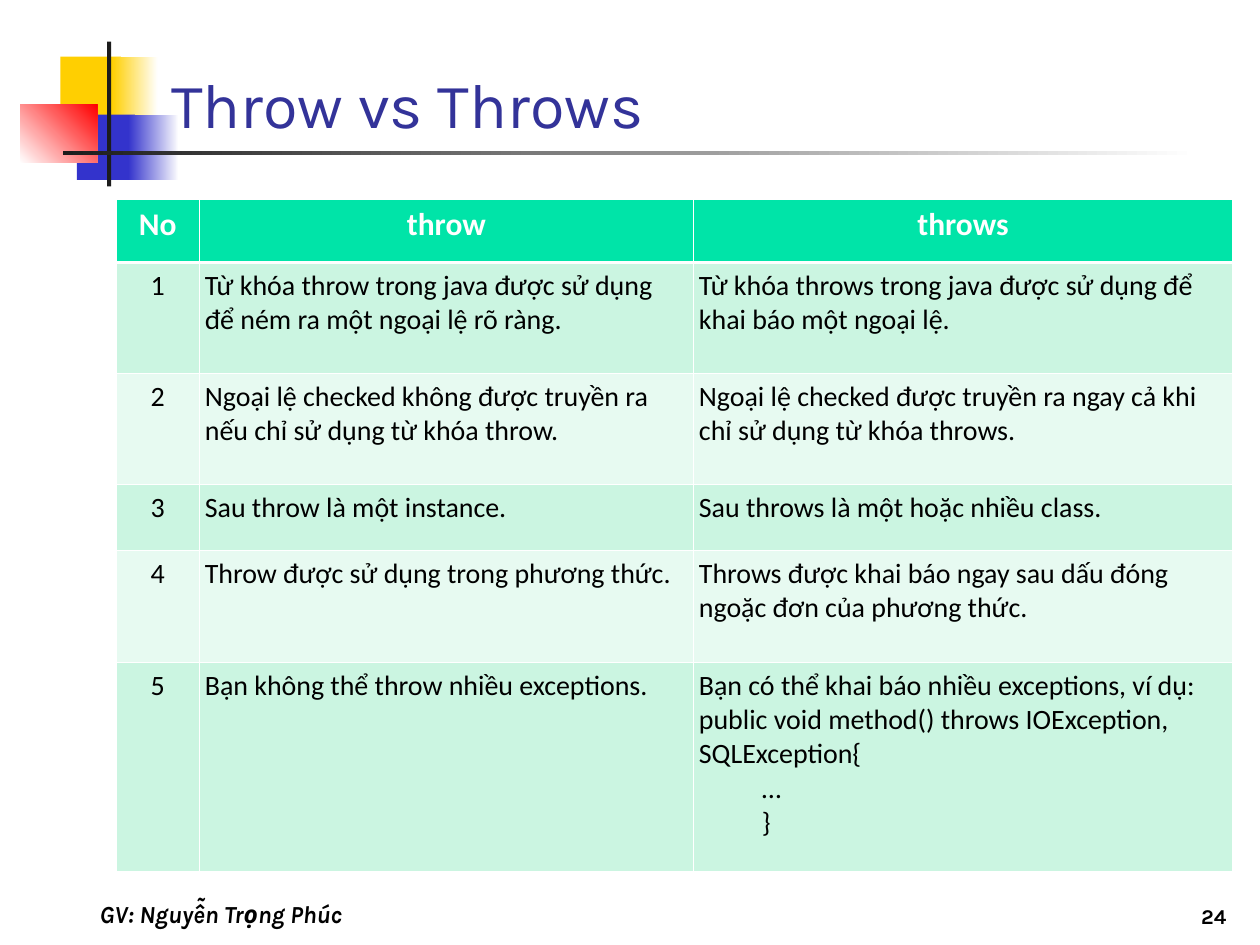
from copy import deepcopy

from lxml.etree import SubElement as Sub
from pptx import Presentation
from pptx.dml.color import RGBColor
from pptx.enum.shapes import MSO_SHAPE as Shape
from pptx.enum.text import MSO_ANCHOR as Anchor, PP_ALIGN as Align
from pptx.oxml.ns import qn
from pptx.util import Cm, Pt

YELLOW, BLUE, RED, DARK, WHITE = "FFCF01", "3333CC", "FF0000", "1C1C1C", "FFFFFF"
HEAD, BANDS = "00E4A8", ("E7FAF1", "CBF5E1")
THIN, THICK = 0.45, 1.47

BLOCKS = [
    ((1.22, 1.14, 1.22, 1.32), [YELLOW], 0),
    ((2.26, 1.14, 0.92, 1.32), [YELLOW, WHITE], 0),
    ((1.55, 2.31, 1.17, 1.32), [BLUE], 0),
    ((2.59, 2.31, 1.02, 1.32), [BLUE, WHITE], 0),
    ((0.41, 2.11, 1.55, 1.17), [WHITE, RED], 45),
    ((2.16, 0.84, 0.08, 2.92), [DARK], 0),
    ((1.27, 3.05, 22.86, 0.08), [DARK, WHITE], 0),
]

COLS = [1.68, 9.96, 10.87]
ROWS = [1.27, 2.24, 2.24, 1.32, 2.26, 4.22]
CELLS = [
    ("No", "throw", "throws"),
    ("1", "Từ khóa throw trong java được sử dụng để ném ra một ngoại lệ rõ ràng.",
     "Từ khóa throws trong java được sử dụng để khai báo một ngoại lệ."),
    ("2", "Ngoại lệ checked không được truyền ra nếu chỉ sử dụng từ khóa throw.",
     "Ngoại lệ checked được truyền ra ngay cả khi chỉ sử dụng từ khóa throws."),
    ("3", "Sau throw là một instance.", "Sau throws là một hoặc nhiều class."),
    ("4", "Throw được sử dụng trong phương thức.",
     "Throws được khai báo ngay sau dấu đóng ngoặc đơn của phương thức."),
    ("5", "Bạn không thể throw nhiều exceptions.",
     "Bạn có thể khai báo nhiều exceptions, ví dụ:\v"
     "public void method() throws IOException, SQLException{\n\t…\n\t}"),
]


def tint(code):
    return RGBColor.from_string(code)


def paint(fill, code):
    fill.solid()
    fill.fore_color.rgb = tint(code)


def write(frame, text, size, font="Karla", color="000000", bold=False,
          italic=False, align=Align.LEFT):
    frame.word_wrap = True
    for i, line in enumerate(text.split("\n")):
        para = frame.add_paragraph() if i else frame.paragraphs[0]
        para.text = line.lstrip("\t")
        para.alignment = align
        if line.startswith("\t"):
            props = para._p.get_or_add_pPr()
            props.set("marL", str(Cm(1.27)))
            props.set("lvl", "1")
        for run in para.runs:
            face = run.font
            face.name, face.size = font, Pt(size)
            face.bold, face.italic = bold, italic
            face.color.rgb = tint(color)
        for stop in para._p.findall(qn("a:br")):
            stop.append(deepcopy(para.runs[0]._r.rPr))


def block(slide, place, colors, angle):
    shape = slide.shapes.add_shape(Shape.RECTANGLE, *map(Cm, place))
    shape.shadow.inherit = False
    shape.line.fill.background()
    if len(colors) == 1:
        paint(shape.fill, colors[0])
        return
    shape.fill.gradient()
    shape.fill.gradient_angle = angle
    for stop, code, spot in zip(shape.fill.gradient_stops, colors, (0, 1)):
        stop.color.rgb = tint(code)
        stop.position = spot


def label(slide, place, text, size, **style):
    frame = slide.shapes.add_textbox(*map(Cm, place)).text_frame
    frame.vertical_anchor = Anchor.BOTTOM
    write(frame, text, size, **style)


def edge(cell, top, base):
    props = cell._tc.get_or_add_tcPr()
    for side, width in zip("LRTB", (THIN, THIN, top, base)):
        line = Sub(props, qn(f"a:ln{side}"), w=str(Pt(width)))
        Sub(Sub(line, qn("a:solidFill")), qn("a:srgbClr"), val=WHITE)


def grid(slide, left, top):
    area = map(Cm, (left, top, sum(COLS), sum(ROWS)))
    table = slide.shapes.add_table(len(ROWS), len(COLS), *area).table
    for col, width in zip(table.columns, COLS):
        col.width = Cm(width)
    for r, (row, height, texts) in enumerate(zip(table.rows, ROWS, CELLS)):
        row.height = Cm(height)
        for c, (cell, text) in enumerate(zip(row.cells, texts)):
            edge(cell, THICK if r == 1 else THIN, THICK if r == 0 else THIN)
            paint(cell.fill, BANDS[r % 2] if r else HEAD)
            cell.margin_left = cell.margin_right = Cm(0.11)
            cell.margin_top = cell.margin_bottom = Cm(0.13)
            write(cell.text_frame, text, 16 if r else 18, font="Calibri",
                  color="000000" if r else WHITE, bold=r == 0,
                  align=Align.LEFT if r and c else Align.CENTER)


def main():
    deck = Presentation()
    deck.slide_width, deck.slide_height = Cm(25.4), Cm(19.05)
    slide = deck.slides.add_slide(deck.slide_layouts[6])
    for place, colors, angle in BLOCKS:
        block(slide, place, colors, angle)
    label(slide, (3.2, 1.07, 21.64, 1.9), "Throw vs Throws", 36, color="333399")
    label(slide, (0.43, 17.58, 8.05, 1.27), "GV: Nguyễn Trọng Phúc", 14,
          bold=True, italic=True, align=Align.CENTER)
    label(slide, (19.69, 17.58, 5.28, 1.27), "24", 12, bold=True, align=Align.RIGHT)
    grid(slide, 2.34, 4.02)
    deck.save("out.pptx")


if __name__ == "__main__":
    main()
